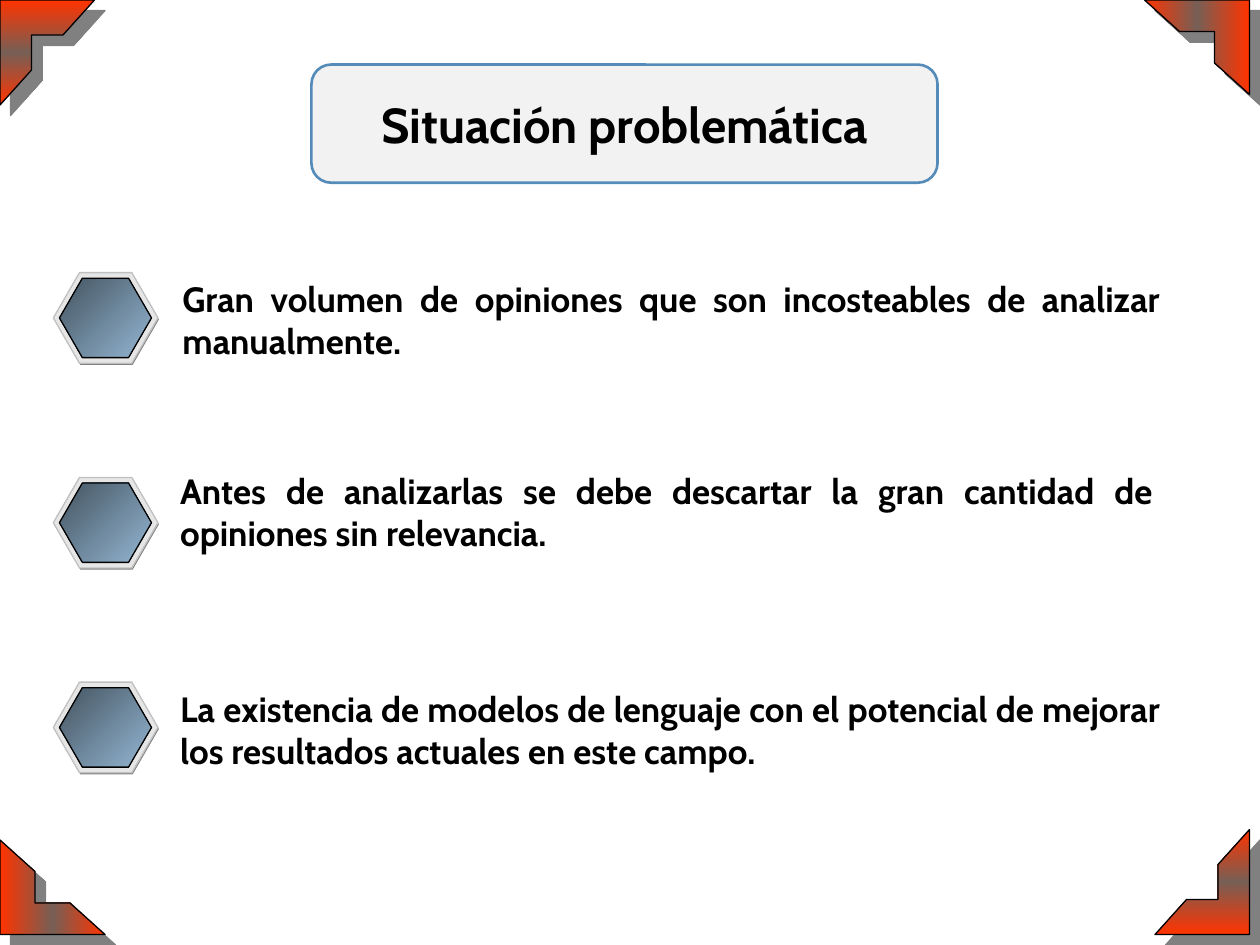
from lxml import etree
from pptx import Presentation
from pptx.dml.color import RGBColor
from pptx.enum.shapes import MSO_SHAPE
from pptx.enum.text import MSO_ANCHOR, MSO_AUTO_SIZE, PP_ALIGN
from pptx.oxml.ns import qn
from pptx.util import Pt

HEXAGON, ROUNDED = MSO_SHAPE.HEXAGON, MSO_SHAPE.ROUNDED_RECTANGLE
CENTER, JUSTIFY = PP_ALIGN.CENTER, PP_ALIGN.JUSTIFY
TOP, MIDDLE = MSO_ANCHOR.TOP, MSO_ANCHOR.MIDDLE
FONT = "Cabin"

TITLE = "Situación problemática"
TITLE_BOX = (178, 36.9, 357.8, 67.5)
# text, left, top, width, height
POINTS = [
    ("Gran volumen de opiniones que son incosteables de analizar manualmente.",
     97.2, 154.8, 573.1, 55.4),
    ("Antes de analizarlas se debe descartar la gran cantidad de opiniones sin relevancia.",
     95.8, 265, 570.2, 79.2),
    ("La existencia de modelos de lenguaje con el potencial de mejorar los resultados "
     "actuales en este campo.",
     95.8, 389.5, 574.6, 79.2),
]
MARKER_LEFT, MARKER_TOP, MARKER_STEP = 30.5, 155.8, 117
# horizontal offset, vertical offset, width, height, fill, line
MARKER_LAYERS = [
    (0.5, 0.9, 59.8, 51.8, "808080", None),
    (0, 0, 59.8, 51.8, "E6E6E6", "C0C0C0"),
    (3.5, 3.2, 52.6, 45.4, [(0, "445461"), (100, "94B6D2")], "000000"),
]
CORNER = [(0, 0), (0, 60), (18, 40), (18, 20), (36, 20), (54, 0)]
CORNER_STOPS = [(0, "FF3300"), (50, "775F55"), (100, "FF3300")]
RIGHT, BOTTOM = 714, 534
# how the corner outline is turned into place, gradient angle
CORNERS = [
    (lambda x, y: (x, y), 90),
    (lambda x, y: (RIGHT - x, BOTTOM - y), 90),
    (lambda x, y: (y, BOTTOM - x), 0),
    (lambda x, y: (RIGHT - y, x), 0),
]


def color(hex_string):
    return RGBColor.from_string(hex_string)


def points(*values):
    return [Pt(value) for value in values]


def paint(shape, fill, line=None, line_width=0.75, angle=0):
    """Fill with a hex colour or a list of gradient stops, and set the outline."""
    shape.shadow.inherit = False
    if isinstance(fill, str):
        shape.fill.solid()
        shape.fill.fore_color.rgb = color(fill)
    else:
        shape.fill.gradient()
        shape.fill.gradient_angle = -angle % 360
        stops = shape._element.spPr.find(qn("a:gradFill")).find(qn("a:gsLst"))
        for old_stop in list(stops):
            stops.remove(old_stop)
        for position, value in fill:
            stop = etree.SubElement(stops, qn("a:gs"), pos=str(position * 1000))
            etree.SubElement(stop, qn("a:srgbClr"), val=value)
    if line:
        shape.line.color.rgb = color(line)
        shape.line.width = Pt(line_width)
    else:
        shape.line.fill.background()


def add_hard_shadow(shape, value, distance, angle):
    effects = shape._element.spPr.find(qn("a:effectLst"))
    shadow = etree.SubElement(effects, qn("a:outerShdw"), blurRad="0", dist=str(Pt(distance)),
                              dir=str(angle * 60000), algn="ctr", rotWithShape="0")
    etree.SubElement(shadow, qn("a:srgbClr"), val=value)


def write(shape, text, size, align, anchor):
    frame = shape.text_frame
    frame.word_wrap = True
    frame.auto_size = MSO_AUTO_SIZE.NONE
    frame.vertical_anchor = anchor
    frame.text = text
    paragraph = frame.paragraphs[0]
    paragraph.alignment = align
    paragraph.line_spacing = 1.0
    paragraph.space_before = Pt(0)
    font = paragraph.runs[0].font
    font.name, font.size, font.bold = FONT, Pt(size), True
    font.color.rgb = color("000000")


def add_corner(slide, turn, angle):
    start, *rest = [points(*turn(x, y)) for x, y in CORNER]
    builder = slide.shapes.build_freeform(*start)
    builder.add_line_segments(rest, close=True)
    corner = builder.convert_to_shape()
    paint(corner, CORNER_STOPS, "000000", angle=angle)
    add_hard_shadow(corner, "808080", 8.5, 45)


def add_marker(slide, left, top):
    group = slide.shapes.add_group_shape()
    for dx, dy, width, height, fill, line in MARKER_LAYERS:
        hexagon = group.shapes.add_shape(HEXAGON, *points(left + dx, top + dy, width, height))
        hexagon.adjustments[0] = 0.289
        paint(hexagon, fill, line, angle=45)


def add_title(slide):
    panel = slide.shapes.add_shape(ROUNDED, *points(*TITLE_BOX))
    paint(panel, "F2F2F2", "558BB8", line_width=1.5)
    title = slide.shapes.title
    title.left, title.top, title.width, title.height = points(*TITLE_BOX)
    write(title, TITLE, 28, CENTER, MIDDLE)
    panel._element.addnext(title._element)  # bring the title in front of its panel


def main():
    presentation = Presentation()
    presentation.slide_width, presentation.slide_height = points(720, 540)
    slide = presentation.slides.add_slide(presentation.slide_layouts[5])
    for turn, angle in CORNERS:
        add_corner(slide, turn, angle)
    add_title(slide)
    for index, (text, *box) in enumerate(POINTS):
        write(slide.shapes.add_textbox(*points(*box)), text, 20, JUSTIFY, TOP)
        add_marker(slide, MARKER_LEFT, MARKER_TOP + index * MARKER_STEP)
    presentation.save("out.pptx")


if __name__ == "__main__":
    main()
